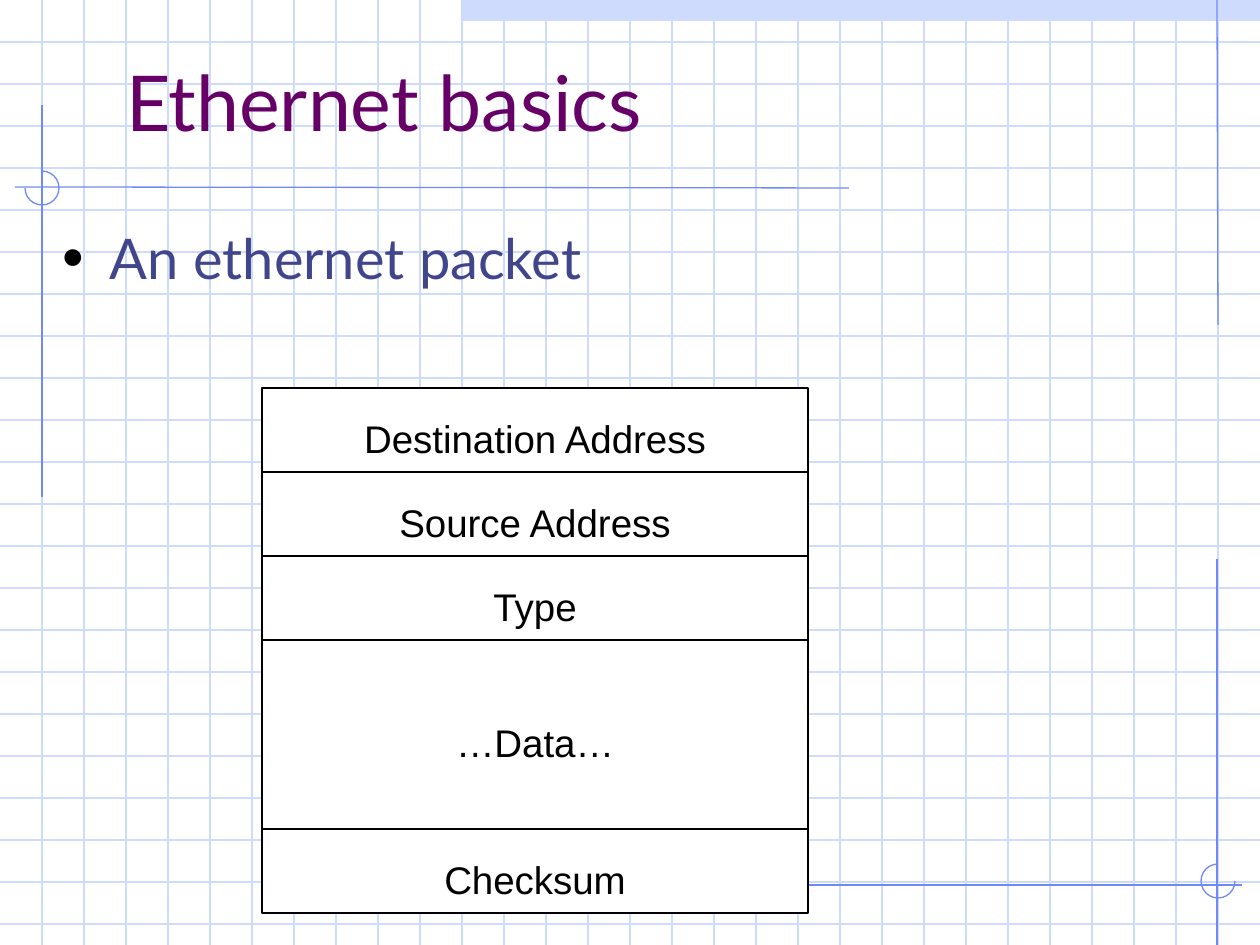
from pptx import Presentation
from pptx.dml.color import RGBColor
from pptx.enum.shapes import MSO_CONNECTOR, MSO_SHAPE
from pptx.enum.text import MSO_ANCHOR, PP_ALIGN
from pptx.oxml import parse_xml
from pptx.oxml.ns import nsdecls
from pptx.util import Pt

EMU_PER_PX = 914400 / 126
WIDTH, HEIGHT, GRID = 1260, 945, 42

PALE_BLUE = RGBColor(0xCF, 0xDB, 0xFD)
BLUE = RGBColor(0x6F, 0x89, 0xF7)
PURPLE = RGBColor(0x66, 0x00, 0x66)
INDIGO = RGBColor(0x40, 0x45, 0x8C)
BLACK = RGBColor(0, 0, 0)
WHITE = RGBColor(0xFF, 0xFF, 0xFF)

STRAIGHT = MSO_CONNECTOR.STRAIGHT
RECTANGLE, ARC = MSO_SHAPE.RECTANGLE, MSO_SHAPE.ARC
TOP, MIDDLE = MSO_ANCHOR.TOP, MSO_ANCHOR.MIDDLE
LEFT, CENTER = PP_ALIGN.LEFT, PP_ALIGN.CENTER

TITLE_FORMAT = {"name": "Lato", "size": Pt(44)}
BODY_FORMAT = {"name": "Lato", "size": Pt(32)}
FIELD_FORMAT = {"name": "Arial", "size": Pt(22)}

PACKET_LEFT, PACKET_TOP, PACKET_WIDTH = 262, 388, 546
PACKET_FIELDS = [
    ("Destination Address", 84),
    ("Source Address", 84),
    ("Type", 84),
    ("…Data…", 189),
    ("Checksum", 84),
]
RULES = [
    (1217, 0, 1218, 325),
    (42, 105, 42, 497),
    (849, 188, 15, 187),
    (410, 885, 1242, 885),
    (1217, 559, 1217, HEIGHT),
]


def emu(*lengths):
    return [round(length * EMU_PER_PX) for length in lengths]


def set_attributes(target, values):
    for name, value in values.items():
        setattr(target, name, value)


class SlideBuilder:
    line_width = Pt(0.75)

    def __init__(self, slide):
        self.slide = slide
        self.shapes = slide.shapes

    def add_text(self, shape, text, font_format, color, line_spacing, alignment, frame_format):
        frame = shape.text_frame
        frame.text = text
        set_attributes(frame, frame_format)
        paragraph = frame.paragraphs[0]
        set_attributes(paragraph, {"alignment": alignment, "line_spacing": line_spacing})
        font = paragraph.runs[0].font
        set_attributes(font, font_format)
        font.color.rgb = color
        return paragraph

    def add_plain_text(self, shape, text, font_format, color, anchor):
        """Add left-aligned text that wraps and has no margins."""
        frame_format = {"word_wrap": True, "vertical_anchor": anchor}
        for side in ("left", "top", "right", "bottom"):
            frame_format[f"margin_{side}"] = 0
        return self.add_text(shape, text, font_format, color, 1.04, LEFT, frame_format)

    def line(self, x1, y1, x2, y2, color):
        connector = self.shapes.add_connector(STRAIGHT, *emu(x1, y1, x2, y2))
        connector.line.color.rgb = color
        connector.line.width = self.line_width
        connector.element.spPr.append(parse_xml(f"<a:effectLst {nsdecls('a')}/>"))

    def rectangle(self, left, top, width, height, fill, outline=None):
        shape = self.shapes.add_shape(RECTANGLE, *emu(left, top, width, height))
        shape.shadow.inherit = False
        shape.fill.solid()
        shape.fill.fore_color.rgb = fill
        if outline is None:
            shape.line.fill.background()
        else:
            shape.line.color.rgb = outline
            shape.line.width = self.line_width
        return shape

    def arc(self, left, top, size, start, end):
        """Draw a clockwise arc between two angles in degrees."""
        shape = self.shapes.add_shape(ARC, *emu(left, top, size, size))
        shape.shadow.inherit = False
        shape.fill.background()
        shape.line.color.rgb = BLUE
        shape.line.width = self.line_width
        for index, angle in enumerate((start, end)):
            shape.adjustments[index] = angle * 0.6  # 60000 units a degree, scaled by 100000

    def title(self, text, left, top, width, height):
        """Fill the title placeholder and bring it in front of the background."""
        title = self.shapes.title
        names = ("left", "top", "width", "height")
        set_attributes(title, dict(zip(names, emu(left, top, width, height))))
        self.add_plain_text(title, text, TITLE_FORMAT, PURPLE, MIDDLE)
        title.element.getparent().append(title.element)

    def bullet(self, text, left, top, width, height):
        box = self.shapes.add_textbox(*emu(left, top, width, height))
        paragraph = self.add_plain_text(box, text, BODY_FORMAT, INDIGO, TOP)
        paragraph.space_before = Pt(8)
        properties = paragraph._p.get_or_add_pPr()
        indent = emu(47)[0]
        properties.set("marL", str(indent))
        properties.set("indent", str(-indent))
        for tag in (
            f'<a:buClr {nsdecls("a")}><a:srgbClr val="{BLACK}"/></a:buClr>',
            f'<a:buSzPct {nsdecls("a")} val="110000"/>',
            f'<a:buFont {nsdecls("a")} typeface="Arial"/>',
            f'<a:buChar {nsdecls("a")} char="•"/>',
        ):
            properties.append(parse_xml(tag))

    def field(self, text, left, top, width, height):
        shape = self.rectangle(left, top, width, height, WHITE, BLACK)
        frame_format = {"word_wrap": False, "vertical_anchor": MIDDLE}
        self.add_text(shape, text, FIELD_FORMAT, BLACK, 1.34, CENTER, frame_format)


def main():
    presentation = Presentation()
    presentation.slide_width, presentation.slide_height = emu(WIDTH, HEIGHT)
    builder = SlideBuilder(presentation.slides.add_slide(presentation.slide_layouts[5]))

    builder.rectangle(461, 0, WIDTH - 461, 21, PALE_BLUE)
    for y in range(GRID, HEIGHT, GRID):
        builder.line(0, y, WIDTH, y, PALE_BLUE)
    for x in range(GRID, WIDTH, GRID):
        builder.line(x, 0, x, HEIGHT, PALE_BLUE)
    for rule in RULES:
        builder.line(*rule, BLUE)
    builder.arc(25, 171, 34, 270, 180)
    builder.arc(1201, 864, 34, 0, 270)

    builder.title("Ethernet basics", 126, 0, 1071, 198)
    builder.bullet("An ethernet packet", 63, 221, 1134, 624)

    top = PACKET_TOP
    for text, height in PACKET_FIELDS:
        builder.field(text, PACKET_LEFT, top, PACKET_WIDTH, height)
        top += height

    presentation.save("out.pptx")


if __name__ == "__main__":
    main()
